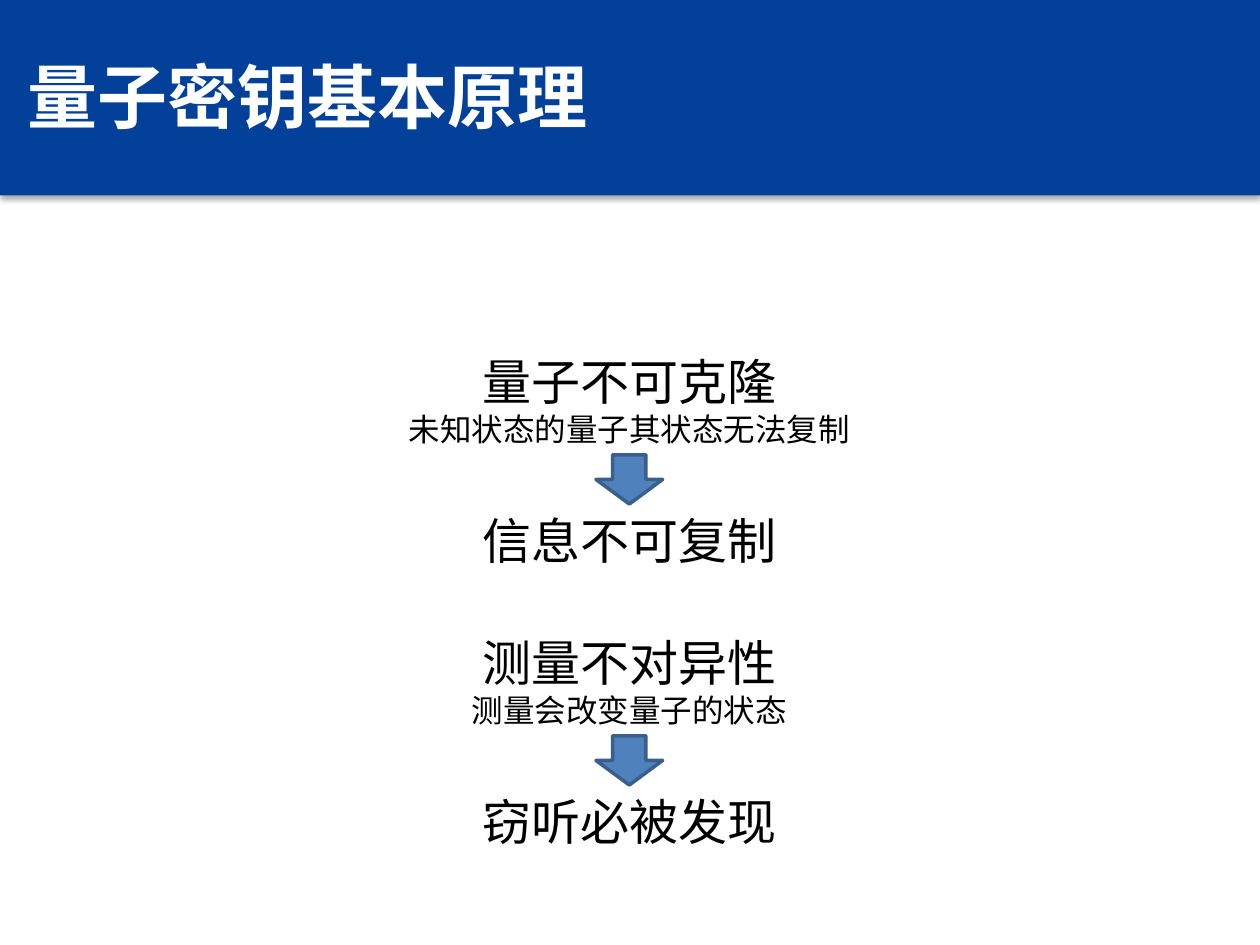
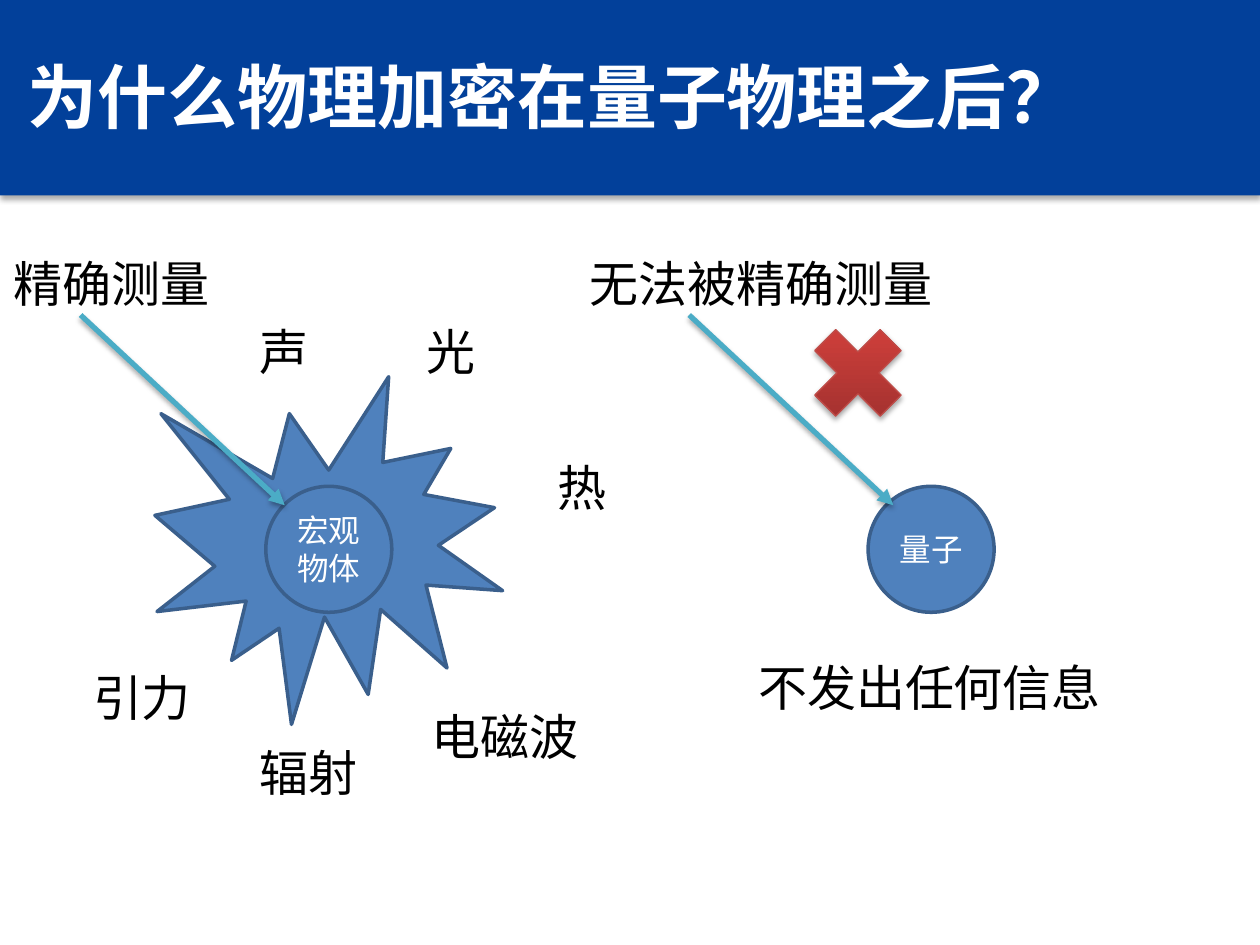
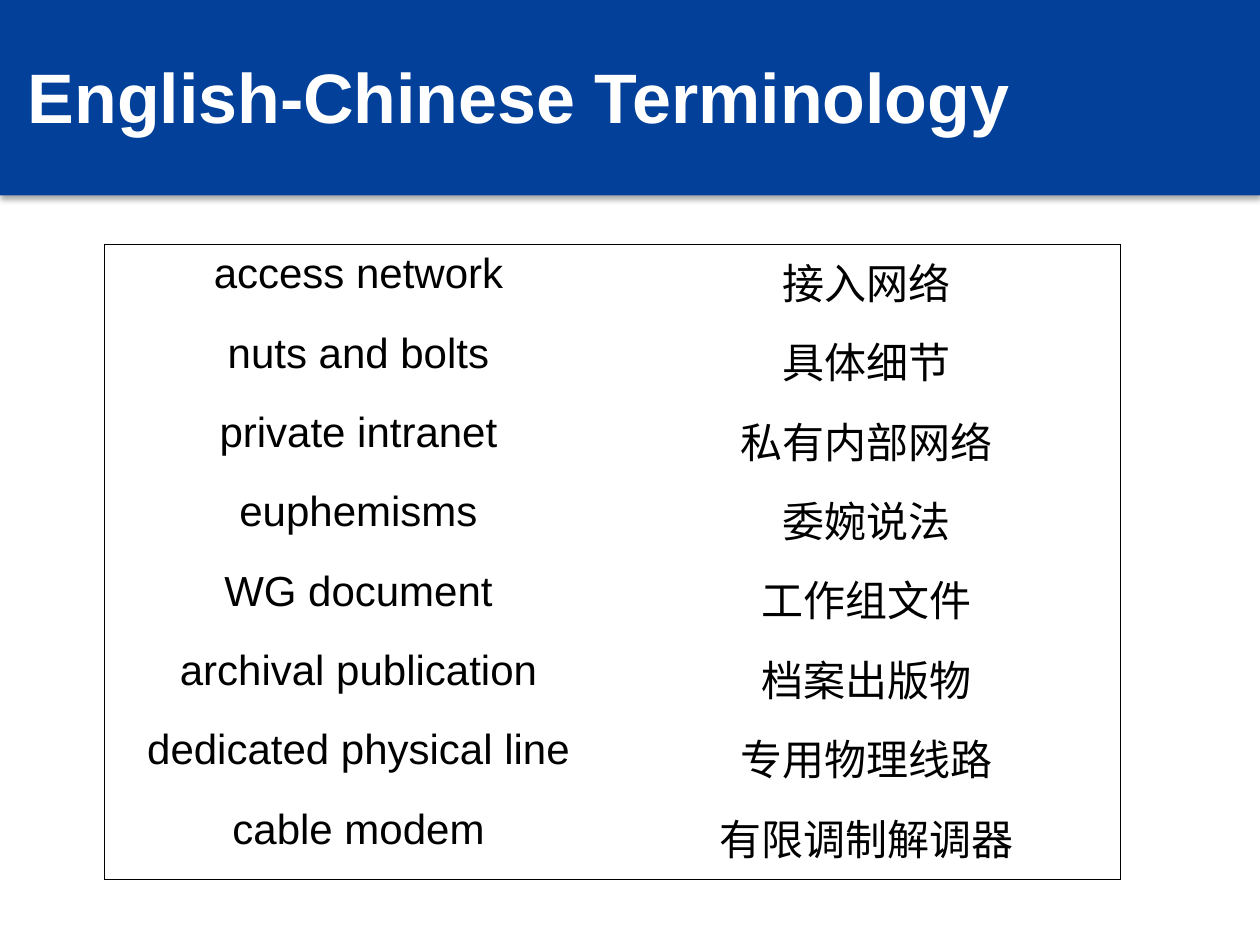
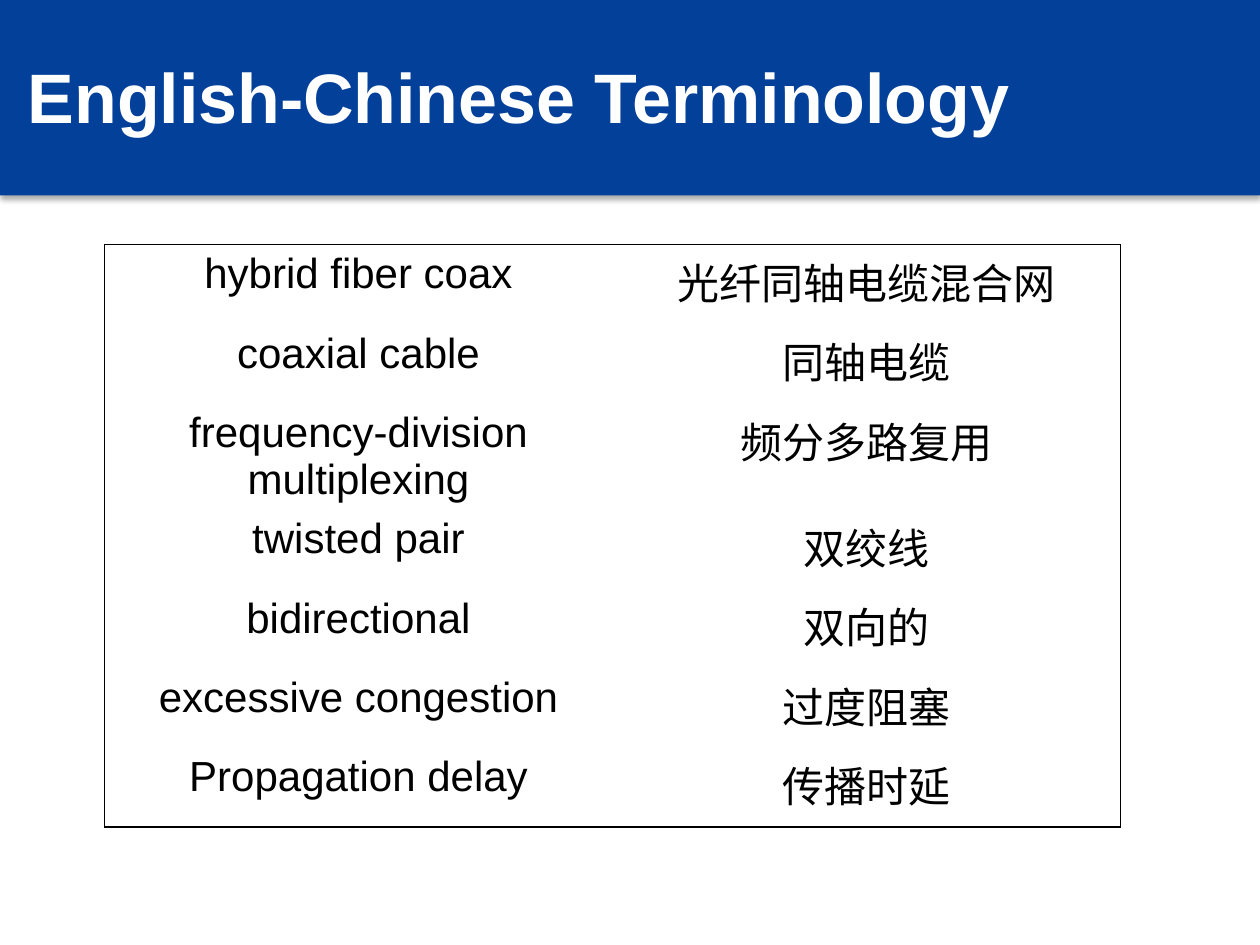
import copy

import pptx
import pptx.dml.color
import pptx.enum.shapes
import pptx.enum.text
import pptx.oxml
import pptx.oxml.ns
import pptx.util
from pptx.util import Inches

Preset = pptx.enum.shapes.MSO_SHAPE
Align = pptx.enum.text.PP_ALIGN
Anchor = pptx.enum.text.MSO_ANCHOR
AutoSize = pptx.enum.text.MSO_AUTO_SIZE
qn = pptx.oxml.ns.qn

BAND = "02409A"
BLUE = "4F81BD"
BLUE_EDGE = "3A5F8C"
AQUA = "4BACC6"
RED_EDGE = "BF4C48"
RED_STOPS = [(0, "9C2F2D"), (0.8, "CB3E3A"), (1, "CE3B37")]
BLACK = "000000"
WHITE = "FFFFFF"
NO_GRID_STYLE = "{2D5ABB26-0587-4C30-8999-92F81FD0307C}"


def color(value):
    return pptx.dml.color.RGBColor.from_string(value)


def xml(markup):
    """Parse one DrawingML element, declaring its namespace."""
    head, rest = markup.split(" ", 1)
    return pptx.oxml.parse_xml(f"{head} {pptx.oxml.ns.nsdecls('a')} {rest}")


def write(paragraph, text, size=28, font="Arial", fill=BLACK, bold=False, align=Align.LEFT):
    paragraph.alignment = align
    run = paragraph.add_run()
    run.text = text
    run.font.size = pptx.util.Pt(size)
    run.font.name = font
    run.font.bold = bold
    run.font.color.rgb = color(fill)


def set_shadow(shape, alpha, blur, distance):
    """Give a shape or connector a soft shadow that falls straight down."""
    properties = shape.element.spPr
    effects = properties.find(qn("a:effectLst"))
    if effects is None:
        effects = xml("<a:effectLst />")
        properties.append(effects)
    effects.append(xml(
        f'<a:outerShdw blurRad="{pptx.util.Pt(blur)}" dist="{pptx.util.Pt(distance)}" '
        f'dir="5400000" rotWithShape="0"><a:srgbClr val="{BLACK}">'
        f'<a:alpha val="{alpha * 1000}"/></a:srgbClr></a:outerShdw>'))


def set_borders(cell, sides):
    """Draw thin black lines on the given sides, a subset of "LRTB" in that order."""
    properties = cell._tc.get_or_add_tcPr()
    for index, side in enumerate(sides):
        properties.insert(index, xml(
            f'<a:ln{side} w="{pptx.util.Pt(0.75)}"><a:solidFill>'
            f'<a:srgbClr val="{BLACK}"/></a:solidFill></a:ln{side}>'))


class Deck:
    def __init__(self):
        self.presentation = pptx.Presentation()
        self.presentation.slide_width = Inches(10)
        self.presentation.slide_height = Inches(7.5)
        self.slide = None
        self.shapes = None

    def start_slide(self, title_text):
        self.slide = self.presentation.slides.add_slide(self.presentation.slide_layouts[5])
        self.shapes = self.slide.shapes
        title = self.shapes.title
        title.left, title.top = Inches(0.12), Inches(0.13)
        title.width, title.height = Inches(9), Inches(1.25)
        title.text_frame.auto_size = AutoSize.NONE
        title.text_frame.vertical_anchor = Anchor.MIDDLE
        write(title.text_frame.paragraphs[0], title_text, size=40, fill=WHITE, bold=True)
        band = self.shape(Preset.RECTANGLE, 0, -0.03, 10, 1.58, fill=BAND, edge=None)
        set_shadow(band, 32, 3.5, 2.2)
        title.element.addprevious(band.element)

    def start_group(self):
        self.shapes = self.slide.shapes.add_group_shape().shapes

    def end_group(self):
        self.shapes = self.slide.shapes

    def shape(self, preset, left, top, width, height, fill=BLUE, edge=BLUE_EDGE, edge_width=2):
        shape = self.shapes.add_shape(
            preset, Inches(left), Inches(top), Inches(width), Inches(height))
        shape.shadow.inherit = False
        shape.fill.solid()
        shape.fill.fore_color.rgb = color(fill)
        if edge:
            shape.line.color.rgb = color(edge)
            shape.line.width = pptx.util.Pt(edge_width)
        else:
            shape.line.fill.background()
        return shape

    def circle(self, left, top, label):
        frame = self.shape(Preset.OVAL, left, top, 1, 1).text_frame
        frame.word_wrap = True
        frame.vertical_anchor = Anchor.MIDDLE
        write(frame.paragraphs[0], label, size=18, font="Calibri", fill=WHITE,
              align=Align.CENTER)

    def red_cross(self, left, top):
        cross = self.shape(Preset.MATH_MULTIPLY, left, top, 1, 1, edge=RED_EDGE, edge_width=0.75)
        cross.fill.gradient()
        cross.fill.gradient_angle = 90
        stop_list = cross.element.spPr.find(".//" + qn("a:gsLst"))
        stop_list.insert(1, copy.deepcopy(stop_list[0]))
        for stop, (position, value) in zip(cross.fill.gradient_stops, RED_STOPS):
            stop.position = position
            stop.color.rgb = color(value)
        set_shadow(cross, 35, 3.1, 1.8)

    def text(self, left, top, width, height, lines, wrap=False, align=Align.LEFT):
        """Add a text box of (text, size) lines."""
        box = self.shapes.add_textbox(
            Inches(left), Inches(top), Inches(width), Inches(height))
        frame = box.text_frame
        frame.word_wrap = wrap
        frame.auto_size = AutoSize.SHAPE_TO_FIT_TEXT
        for index, (line, size) in enumerate(lines):
            paragraph = frame.add_paragraph() if index else frame.paragraphs[0]
            write(paragraph, line, size=size, align=align)

    def label(self, left, top, width, text):
        self.text(left, top, width, 0.57, [(text, 28)])

    def arrow(self, left, top):
        """Add the measuring arrow, which runs down to the right."""
        arrow = self.shapes.add_connector(
            pptx.enum.shapes.MSO_CONNECTOR.STRAIGHT, Inches(left), Inches(top),
            Inches(left + 1.62), Inches(top + 1.51))
        arrow.line.color.rgb = color(AQUA)
        arrow.line.width = pptx.util.Pt(3)
        arrow.element.spPr.find(qn("a:ln")).append(xml('<a:tailEnd type="triangle"/>'))
        set_shadow(arrow, 35, 3.1, 1.8)

    def table(self, left, top, column_width, row_height, rows):
        """Add a two-column table with an outer frame only."""
        frame = self.shapes.add_table(
            len(rows), 2, Inches(left), Inches(top),
            Inches(2 * column_width), Inches(row_height * len(rows)))
        table = frame.table
        table.first_row = table.horz_banding = False
        table._tbl.tblPr.find(qn("a:tableStyleId")).text = NO_GRID_STYLE
        for row_index, row in enumerate(rows):
            table.rows[row_index].height = Inches(row_height)
            ends = "T" * (row_index == 0) + "B" * (row_index == len(rows) - 1)
            for column_index, (text, side) in enumerate(zip(row, "LR")):
                table.columns[column_index].width = Inches(column_width)
                cell = table.cell(row_index, column_index)
                cell.fill.background()
                write(cell.text_frame.paragraphs[0], text, size=24, align=Align.CENTER)
                set_borders(cell, side + ends)


def principle_slide(deck):
    deck.start_slide("量子密钥基本原理")
    principles = [
        (2.74, "量子不可克隆", "未知状态的量子其状态无法复制", "信息不可复制"),
        (4.97, "测量不对异性", "测量会改变量子的状态", "窃听必被发现"),
    ]
    for top, principle, reason, result in principles:
        deck.text(2.95, top, 4.09, 0.88, [(principle, 28), (reason, 18)],
                  wrap=True, align=Align.CENTER)
        deck.text(2.95, top + 1.26, 4.09, 0.57, [(result, 28)],
                  wrap=True, align=Align.CENTER)
        deck.shape(Preset.DOWN_ARROW, 4.73, top + 0.87, 0.53, 0.39)


def measurement_slide(deck):
    deck.start_slide("为什么物理加密在量子物理之后？")
    deck.circle(6.89, 3.86, "量子")

    deck.start_group()
    deck.shape(Preset.EXPLOSION1, 1.23, 2.99, 2.76, 2.76)
    deck.circle(2.11, 3.86, "宏观物体")
    emissions = [
        (1.96, 5.84, 0.99, "辐射"),
        (3.29, 2.5, 0.59, "光"),
        (4.33, 3.58, 0.59, "热"),
        (3.33, 5.56, 1.38, "电磁波"),
        (1.96, 2.5, 0.59, "声"),
        (0.64, 5.25, 0.99, "引力"),
    ]
    for emission in emissions:
        deck.label(*emission)
    deck.arrow(0.64, 2.5)
    deck.label(0.01, 1.96, 1.77, "精确测量")
    deck.end_group()

    deck.label(5.92, 5.17, 2.94, "不发出任何信息")
    deck.arrow(5.47, 2.5)
    deck.label(4.58, 1.96, 2.95, "无法被精确测量")
    deck.red_cross(6.31, 2.46)


def terminology_slide(deck, terms):
    deck.start_slide("English-Chinese Terminology")
    deck.table(0.83, 1.94, 4.03, 0.63, terms)


def main():
    deck = Deck()
    principle_slide(deck)
    measurement_slide(deck)
    terminology_slide(deck, [
        ("access network", "接入网络"),
        ("nuts and bolts", "具体细节"),
        ("private intranet", "私有内部网络"),
        ("euphemisms", "委婉说法"),
        ("WG document", "工作组文件"),
        ("archival publication", "档案出版物"),
        ("dedicated physical line", "专用物理线路"),
        ("cable modem", "有限调制解调器"),
    ])
    terminology_slide(deck, [
        ("hybrid fiber coax", "光纤同轴电缆混合网"),
        ("coaxial cable", "同轴电缆"),
        ("frequency-division multiplexing", "频分多路复用"),
        ("twisted pair", "双绞线"),
        ("bidirectional", "双向的"),
        ("excessive congestion", "过度阻塞"),
        ("Propagation delay", "传播时延"),
    ])
    deck.presentation.save("out.pptx")


if __name__ == "__main__":
    main()
